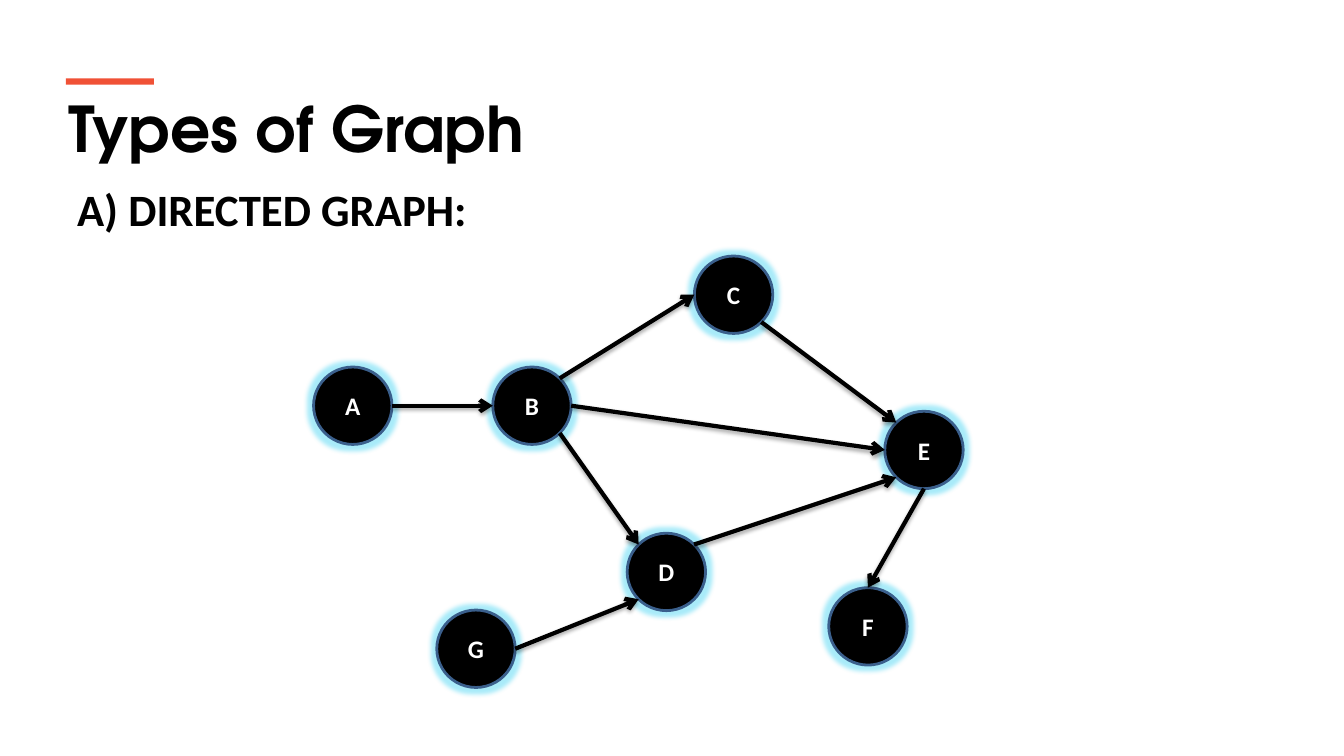
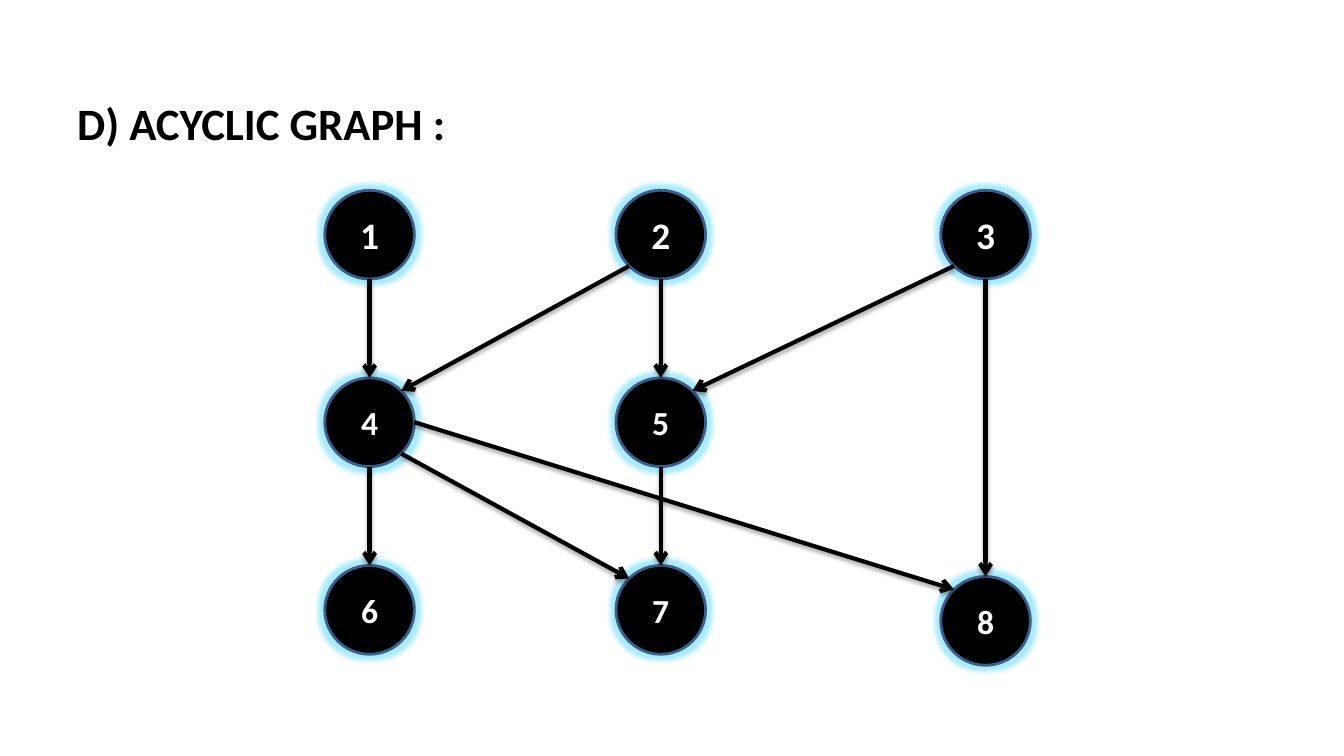
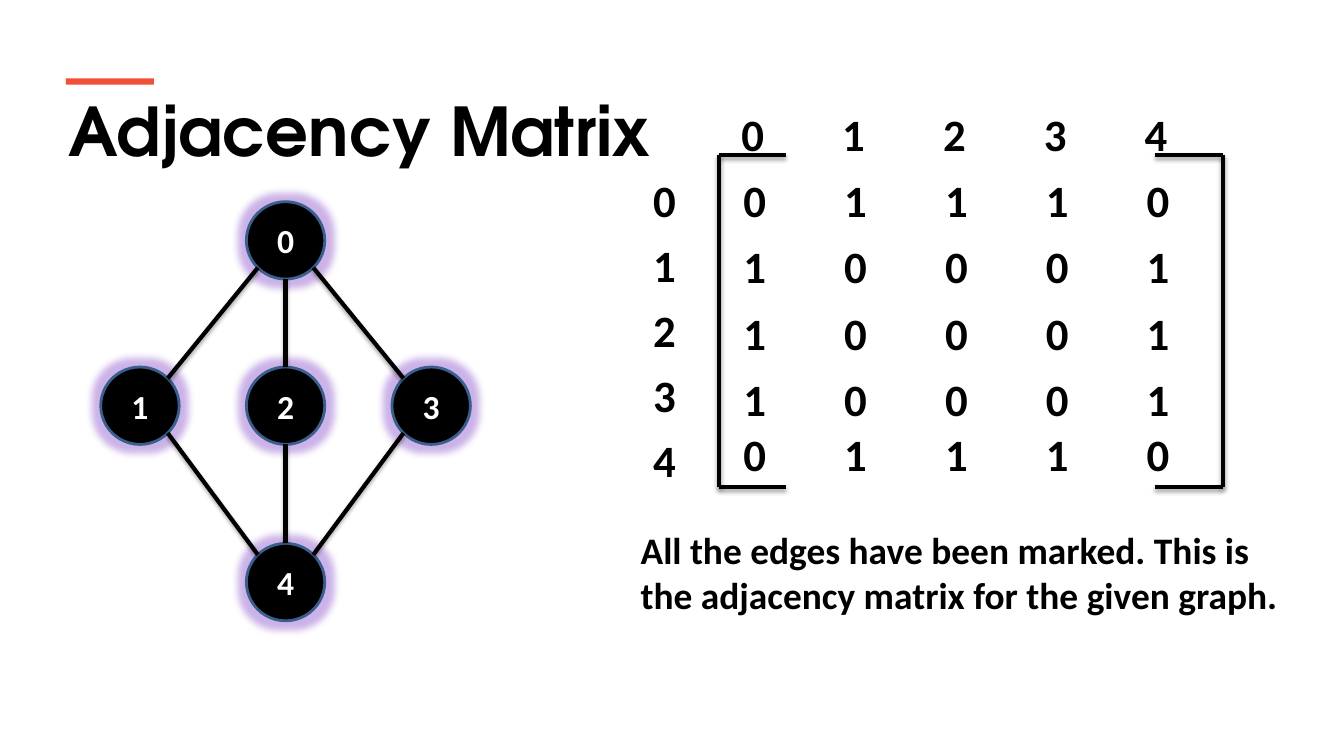
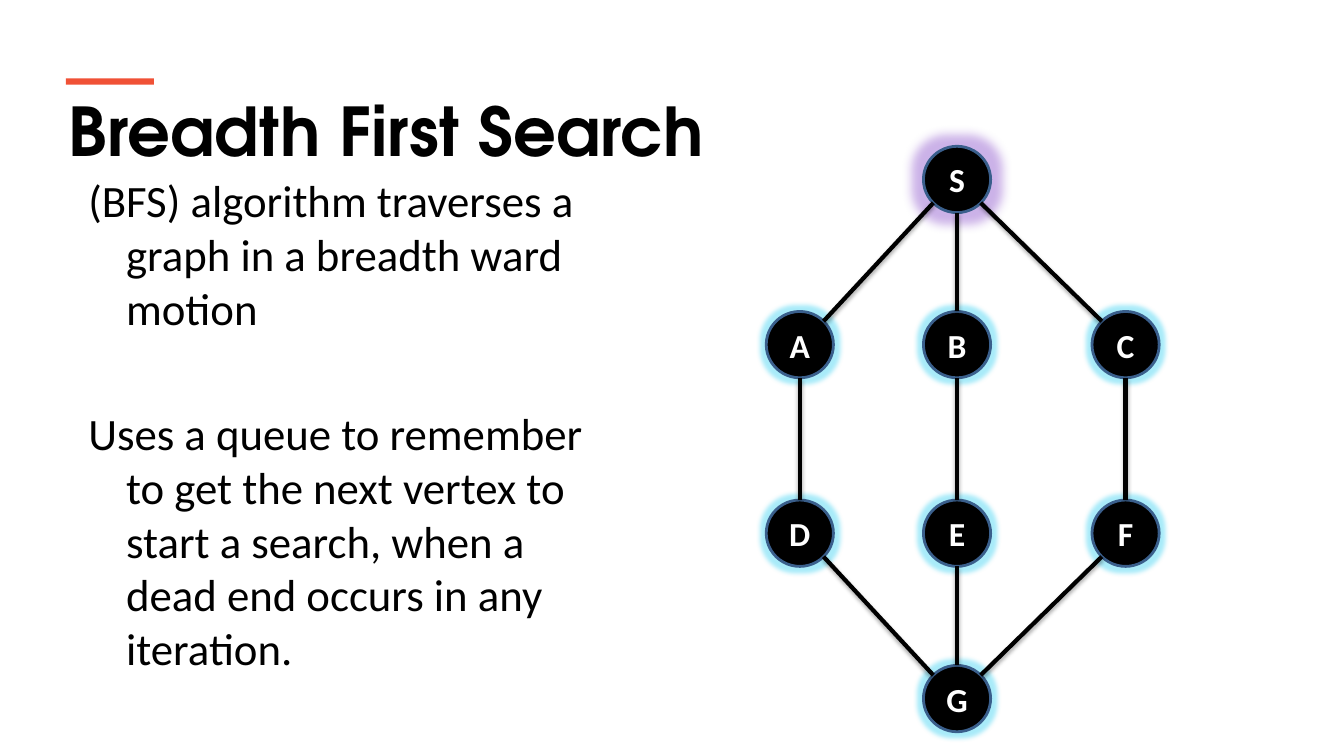
"""Build four slides about graph types, adjacency matrices and breadth first search."""
from dataclasses import dataclass

from lxml.etree import SubElement as Sub
from pptx import Presentation
from pptx.dml.color import RGBColor as Rgb
from pptx.enum.shapes import MSO_CONNECTOR as Conn, MSO_SHAPE as Form
from pptx.enum.text import MSO_ANCHOR as Anchor, PP_ALIGN as Align
from pptx.oxml.ns import qn
from pptx.slide import Slide
from pptx.text.text import _Paragraph as Para
from pptx.util import Pt


@dataclass(frozen=True)
class Theme:
    black: str = "000000"
    white: str = "FFFFFF"
    accent: str = "F05136"
    ring: str = "3A5F8C"
    cyan: str = "27CEF2"
    purple: str = "7F3FC6"
    head: str = "TeX Gyre Adventor"
    body: str = "Calibri"
    title: float = 48
    text: float = 32
    note: float = 26.7
    node: float = 24
    small: float = 18
    edge: float = 3


THEME = Theme()


@dataclass(frozen=True)
class Glow:
    color: str
    reach: float


CYAN = Glow(THEME.cyan, 6.67)
PURPLE = Glow(THEME.purple, 10.67)
WIDE = Glow(THEME.purple, 14.67)


@dataclass(frozen=True)
class Node:
    name: str
    x: float
    y: float
    size: float = THEME.node
    glow: Glow = CYAN


@dataclass(frozen=True)
class Graph:
    wide: float
    high: float
    nodes: list[Node]
    edges: str
    arrow: bool = False


@dataclass(frozen=True)
class Box:
    x: float
    y: float
    w: float
    h: float


DIAG = 0.5 ** 0.5
PORTS = {
    "n": (0, -1), "ne": (DIAG, -DIAG), "e": (1, 0), "se": (DIAG, DIAG),
    "s": (0, 1), "sw": (-DIAG, DIAG), "w": (-1, 0), "nw": (-DIAG, -DIAG),
}


def style(para: Para, size: float, color: str = THEME.black,
          bold: bool = True, face: str = THEME.body) -> None:
    font = para.font
    font.name, font.size, font.bold = face, Pt(size), bold
    font.color.rgb = Rgb.from_string(color)


def effect(props, kind: str, color: str, alpha: int, **attrs: str) -> None:
    item = Sub(Sub(props, qn("a:effectLst")), qn(f"a:{kind}"), attrs)
    tint = Sub(item, qn("a:srgbClr"), val=color)
    Sub(tint, qn("a:alpha"), val=str(alpha * 1000))


def write(slide: Slide, box: Box, lines: list[str], size: float,
          pad: tuple[float, float] = (9.6, 4.8), bold: bool = True,
          face: str = THEME.body) -> list[Para]:
    frame = slide.shapes.add_textbox(
        Pt(box.x), Pt(box.y), Pt(box.w), Pt(box.h)).text_frame
    frame.word_wrap = True
    frame.margin_left = frame.margin_right = Pt(pad[0])
    frame.margin_top = frame.margin_bottom = Pt(pad[1])
    frame.text = "\n".join(lines)
    for para in frame.paragraphs:
        style(para, size, bold=bold, face=face)
    return list(frame.paragraphs)


def title(slide: Slide, text: str, size: float = THEME.title) -> None:
    write(slide, Box(41.8, 60.5, 877, 65.5), [text], size, (7.2, 3.6), face=THEME.head)
    bar = slide.shapes.add_shape(Form.RECTANGLE, Pt(47), Pt(56), Pt(63), Pt(4.4))
    bar.fill.solid()
    bar.fill.fore_color.rgb = Rgb.from_string(THEME.accent)
    bar.line.fill.background()
    bar.shadow.inherit = False


def body(slide: Slide, box: Box, lines: list[str], bold: bool = True) -> None:
    paras = write(slide, box, lines, THEME.text, (7.2, 3.6), bold)
    for para in paras:
        props = para._p.get_or_add_pPr()
        props.set("marL", str(Pt(27)))
        props.set("indent", str(Pt(-27)))
    for para in paras[1:]:
        para.space_before = Pt(51)


def link(slide: Slide, start: tuple[float, float], end: tuple[float, float],
         arrow: bool = False) -> None:
    line = slide.shapes.add_connector(
        Conn.STRAIGHT, *(Pt(v) for v in (*start, *end)))
    line.line.color.rgb = Rgb.from_string(THEME.black)
    line.line.width = Pt(THEME.edge)
    props = line._element.spPr
    if arrow:
        Sub(props.find(qn("a:ln")), qn("a:tailEnd"), type="arrow")
    effect(props, "outerShdw", THEME.black, 35, blurRad=str(Pt(3.1)),
           dist=str(Pt(1.8)), dir="5400000", rotWithShape="0")


def disc(slide: Slide, node: Node, wide: float, high: float) -> None:
    shape = slide.shapes.add_shape(
        Form.OVAL, Pt(node.x - wide / 2), Pt(node.y - high / 2), Pt(wide), Pt(high))
    shape.fill.solid()
    shape.fill.fore_color.rgb = Rgb.from_string(THEME.black)
    shape.line.color.rgb = Rgb.from_string(THEME.ring)
    shape.line.width = Pt(2)
    effect(shape._element.spPr, "glow", node.glow.color, 40,
           rad=str(Pt(node.glow.reach)))
    frame = shape.text_frame
    frame.margin_left = frame.margin_right = frame.margin_top = frame.margin_bottom = 0
    frame.vertical_anchor = Anchor.MIDDLE
    frame.text = node.name
    para = frame.paragraphs[0]
    para.alignment = Align.CENTER
    style(para, node.size, THEME.white)


def draw(slide: Slide, graph: Graph) -> None:
    spots = {node.name: node for node in graph.nodes}

    def port(code: str) -> tuple[float, float]:
        node, (dx, dy) = spots[code[0]], PORTS[code[1:]]
        return node.x + dx * graph.wide / 2, node.y + dy * graph.high / 2

    for node in graph.nodes:
        disc(slide, node, graph.wide, graph.high)
    for edge in graph.edges.split(", "):
        start, end = edge.split()
        link(slide, port(start), port(end), graph.arrow)


def row(slide: Slide, x: float, y: float, cells: str) -> None:
    para, = write(slide, Box(x, y, 326, 48), ["\t".join(cells)], THEME.text)
    tabs = Sub(para._p.get_or_add_pPr(), qn("a:tabLst"))
    props = para._p.get_or_add_pPr()
    props.insert(0, tabs)
    for stop in range(1, len(cells)):
        Sub(tabs, qn("a:tab"), pos=str(Pt(72 * stop)), algn="l")


def matrix(slide: Slide) -> None:
    top, base = 111, 348
    for side, tip in ((513.4, 561.6), (873.4, 825)):
        for y in (top, base):
            link(slide, (tip, y), (side, y))
        link(slide, (side, base), (side, top))
    tops = (118.8, 166, 213.4, 260.7, 300.3)
    for y, cells in zip(tops, ("01110", "10001", "10001", "10001", "01110")):
        row(slide, 521.4, y, cells)
    row(slide, 520, 71.3, "01234")
    for para in write(slide, Box(457, 118.8, 40, 236), list("01234"), THEME.text):
        para.space_after = Pt(8)


def directed(slide: Slide) -> None:
    body(slide, Box(48, 126, 864, 356), ["A) DIRECTED GRAPH:"])
    spots = {"A": (252, 289.8), "B": (380, 289.8), "C": (524, 210.5), "E": (660, 321.4),
             "F": (620, 447.4), "D": (476, 408.5), "G": (340, 463.4)}
    nodes = [Node(name, x, y, THEME.small) for name, (x, y) in spots.items()]
    draw(slide, Graph(56, 55.3, nodes, "Ae Bw, Bne Cw, Be Ew, Bse Dnw, "
                      "Ge Dsw, Dne Esw, Es Fn, Cse Enw", True))
    title(slide, "Types of Graph", 45)


def acyclic(slide: Slide) -> None:
    body(slide, Box(48, 65, 864, 417), ["D) ACYCLIC GRAPH :"])
    left, mid, right = 264, 472, 704
    high, low = 167.6, 435.6
    half = (high + low) / 2
    nodes = [Node(name, x, high, THEME.note) for name, x in zip("123", (left, mid, right))]
    nodes += [Node("4", left, half), Node("5", mid, half),
              Node("6", left, low), Node("7", mid, low), Node("8", right, 443.5)]
    draw(slide, Graph(64, 63.4, nodes, "1s 4n, 2s 5n, 5s 7n, 4s 6n, 3s 8n, "
                      "4se 7nw, 4e 8nw, 2sw 4ne, 3sw 5ne", True))


def adjacent(slide: Slide) -> None:
    mid, half = 204, 289.8
    spots = {"0": (mid, 171.7), "4": (mid, 415.8),
             "1": (mid - 104, half), "2": (mid, half), "3": (mid + 104, half)}
    nodes = [Node(name, x, y, glow=PURPLE) for name, (x, y) in spots.items()]
    draw(slide, Graph(56, 55.3, nodes,
                      "0sw 1ne, 4nw 1se, 3nw 0se, 4ne 3sw, 2s 4n, 0s 2n"))
    title(slide, "Adjacency Matrix")
    matrix(slide)
    write(slide, Box(448, 371.5, 480, 75), [
        "All the edges have been marked. This is the adjacency matrix for the given graph."],
        THEME.note)


def breadth(slide: Slide) -> None:
    body(slide, Box(56, 120, 384.5, 356), [
        "(BFS) algorithm traverses a graph in a breadth ward motion",
        "Uses a queue to remember to get the next vertex to start a search, "
        "when a dead end occurs in any iteration."], False)
    cols, mid = (571.3, 683.6, 804), 683.6
    nodes = [Node("S", mid, 128.2, glow=WIDE)]
    for names, y in (("ABC", 246.2), ("DEF", 380.9)):
        nodes += [Node(name, x, y) for name, x in zip(names, cols)]
    nodes.append(Node("G", mid, 499))
    draw(slide, Graph(48, 47.4, nodes, "Ssw Ane, Ss Bn, Sse Cnw, Bs En, As Dn, "
                      "Cs Fn, Es Gn, Dse Gnw, Fsw Gne"))
    title(slide, "Breadth First Search")


def main() -> None:
    deck = Presentation()
    deck.slide_width, deck.slide_height = Pt(960), Pt(540)
    for build in (directed, acyclic, adjacent, breadth):
        build(deck.slides.add_slide(deck.slide_layouts[6]))
    deck.save("out.pptx")


if __name__ == "__main__":
    main()
